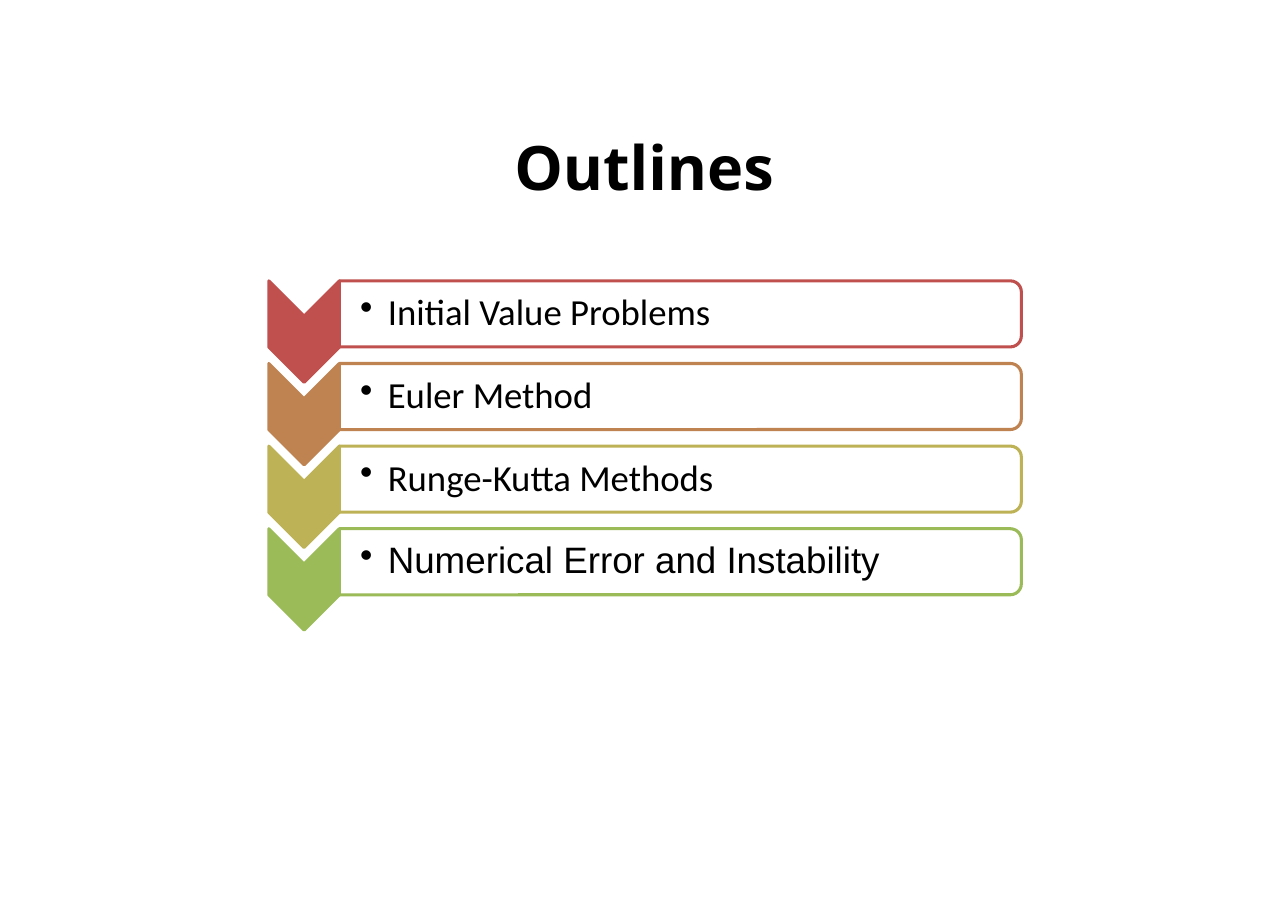
from lxml.etree import SubElement
from pptx import Presentation
from pptx.dml.color import RGBColor
from pptx.enum.shapes import MSO_SHAPE
from pptx.enum.text import MSO_ANCHOR, PP_ALIGN
from pptx.oxml.ns import qn
from pptx.util import Pt

PX = 9144  # 100 px to the inch
ROW_PITCH = 75
TOPICS = [
    ("Initial Value Problems", "C0504D", "Calibri"),
    ("Euler Method", "BE8351", "Calibri"),
    ("Runge-Kutta Methods", "BDB255", "Calibri"),
    ("Numerical Error and Instability", "9BBB59", "Arial"),
]


def px(*lengths):
    return [round(length * PX) for length in lengths]


def color(hex_code):
    return RGBColor.from_string(hex_code)


def style_font(paragraph, name, size, bold=False):
    font = paragraph.font
    font.name, font.size, font.bold = name, Pt(size), bold
    font.color.rgb = color("000000")


def set_insets(frame, left, top, right, bottom):
    (frame.margin_left, frame.margin_top,
     frame.margin_right, frame.margin_bottom) = px(left, top, right, bottom)


def add_turned_shape(slide, preset, box, fill, line):
    """Place a shape turned a quarter clockwise so that it covers the box."""
    left, top, width, height = box
    shift = (width - height) / 2
    shape = slide.shapes.add_shape(
        preset, *px(left + shift, top - shift, height, width))
    shape.rotation = 90
    shape.shadow.inherit = False
    shape.fill.solid()
    shape.fill.fore_color.rgb = color(fill)
    shape.line.color.rgb = color(line)
    shape.line.width = Pt(2)
    return shape


def add_title(slide, text, box):
    title = slide.shapes.title
    title.left, title.top, title.width, title.height = px(*box)
    frame = title.text_frame
    frame.text = text
    frame.vertical_anchor = MSO_ANCHOR.MIDDLE
    set_insets(frame, 11, 6, 11, 6)
    heading = frame.paragraphs[0]
    heading.alignment = PP_ALIGN.CENTER
    style_font(heading, "Open Sans", 40, bold=True)


def add_topic(slide, box, text, accent, font_name):
    left, top, width, height = box

    # Chevron and bar
    add_turned_shape(slide, MSO_SHAPE.CHEVRON, (left, top, 64, height),
                     accent, accent)
    bar = add_turned_shape(slide, MSO_SHAPE.ROUND_2_SAME_RECTANGLE,
                           (left + 64, top, width - 64, 60), "FFFFFF", accent)
    bar_color = bar.fill._xPr.find(qn("a:solidFill"))[0]
    SubElement(bar_color, qn("a:alpha"), val="90000")

    # Bulleted label
    label = slide.shapes.add_textbox(*px(left + 64, top + 3, width - 67, 54))
    frame = label.text_frame
    frame.word_wrap = True
    frame.vertical_anchor = MSO_ANCHOR.MIDDLE
    set_insets(frame, 19, 2, 2, 2)
    topic = frame.paragraphs[0]
    topic.text = text
    topic.level = 1
    topic.line_spacing = 0.9
    properties = topic._p.get_or_add_pPr()
    indent, = px(25)
    properties.set("marL", str(indent))
    properties.set("indent", str(-indent))
    SubElement(properties, qn("a:buChar"), char="•")
    style_font(topic, font_name, 24)


def add_outline(slide, box):
    left, top, width, height = box
    chevron_height = height - ROW_PITCH * (len(TOPICS) - 1)
    for row, topic in enumerate(TOPICS):
        add_topic(slide, (left, top + row * ROW_PITCH, width, chevron_height),
                  *topic)


def main():
    presentation = Presentation()
    presentation.slide_width, presentation.slide_height = px(1169, 827)
    slide = presentation.slides.add_slide(presentation.slide_layouts[5])
    add_title(slide, "Outlines", (142, 82, 885, 138))
    add_outline(slide, (244, 255, 683, 317))
    presentation.save("out.pptx")


if __name__ == "__main__":
    main()
